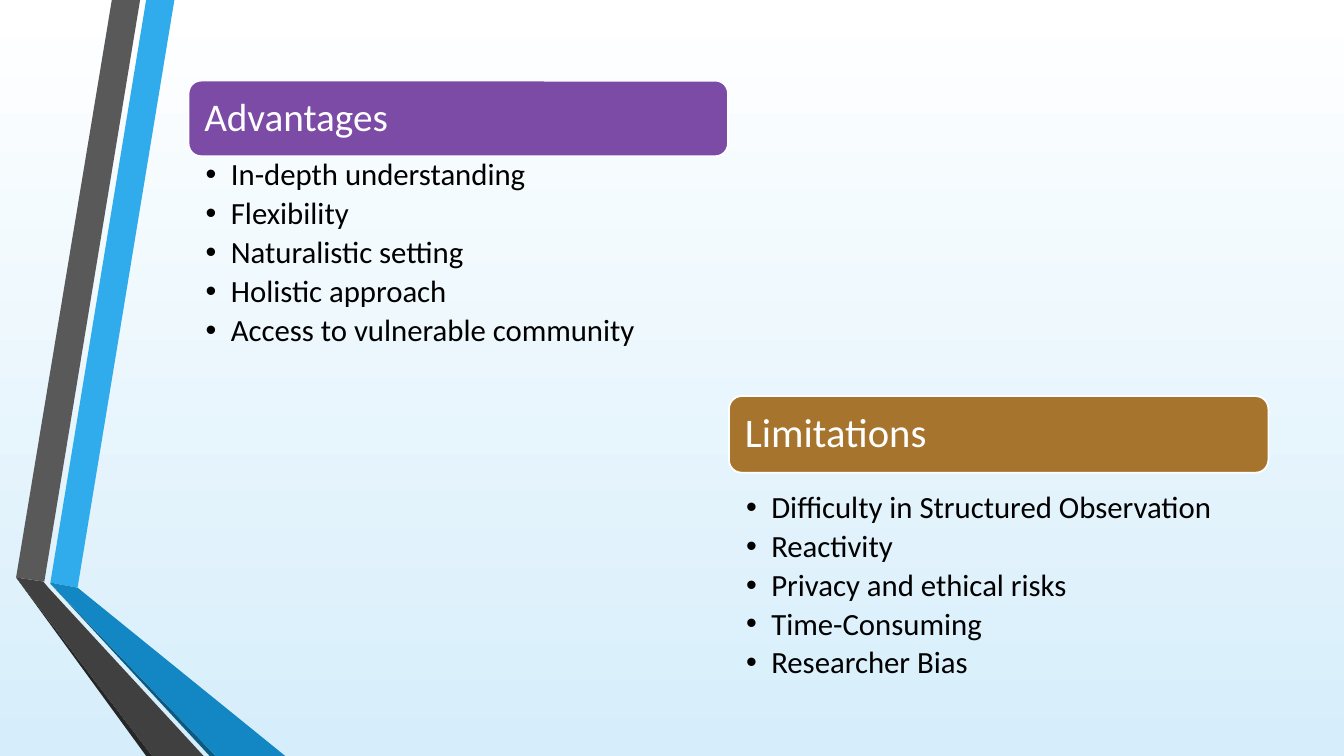
from lxml.etree import SubElement
from pptx import Presentation
from pptx.dml.color import RGBColor as RGB
from pptx.enum.shapes import MSO_SHAPE as SHAPE
from pptx.enum.text import MSO_ANCHOR as ANCHOR, PP_ALIGN as ALIGN
from pptx.oxml.ns import qn
from pptx.util import Inches, Pt

RIBBONS = [
    ("blue", [(0.5, 5.78), (0.77, 5.83), (1.73, 0), (1.45, 0)]),
    ("grey", [(1.39, 0), (1.11, 0), (0.16, 5.73), (0.44, 5.77)]),
    ("grey_edge", [(0.16, 5.73), (1.45, 7.5), (1.51, 7.5)]),
    ("blue_edge", [(0.5, 5.79), (2.08, 7.5), (2.14, 7.5)]),
    ("blue_fold", [(0.5, 5.79), (2.14, 7.5), (2.83, 7.5), (0.77, 5.83), (0.5, 5.78)]),
    ("grey_fold", [(2.02, 7.5), (0.48, 5.83), (0.43, 5.77), (0.16, 5.73), (1.51, 7.5)]),
]
PANELS = [
    {"title": "Advantages", "fill": "purple", "size": 28,
     "left": 1.87, "top": 0.8, "height": 0.75, "list_top": 1.54, "list_height": 2.39,
     "points": ["In-depth understanding", "Flexibility", "Naturalistic setting",
                "Holistic approach", "Access to vulnerable\u00a0community"]},
    {"title": "Limitations", "fill": "brown", "size": 29,
     "left": 7.23, "top": 3.93, "height": 0.76, "list_top": 4.84, "list_height": 2.06,
     "points": ["Difficulty in Structured Observation", "Reactivity",
                "Privacy and ethical risks", "Time-Consuming", "Researcher Bias"]},
]
PANEL_WIDTH = 5.35
THEME = {
    "font": "Calibri", "list_size": 22, "line": 1.25,
    "white": "FFFFFF", "sky": "D6EEFB", "black": "000000",
    "blue": "30ACEC", "blue_fold": "1287C3", "blue_edge": "0C5A82",
    "grey": "595959", "grey_fold": "404040", "grey_edge": "262626",
    "purple": "7B4BA6", "brown": "A7742E",
}


def color(name):
    """Return a theme colour."""
    return RGB.from_string(THEME[name])


def apply(target, **values):
    """Set each attribute of the target."""
    for name, value in values.items():
        setattr(target, name, value)


def paint(s, fill):
    """Give a shape a flat fill and no shadow."""
    s.shadow.inherit = False
    s.fill.solid()
    s.fill.fore_color.rgb = color(fill)


def add_text(p, text, size, ink):
    """Write one styled run into a paragraph."""
    apply(p, alignment=ALIGN.LEFT, line_spacing=0.9)
    r = p.add_run()
    r.text = text
    apply(r.font, name=THEME["font"], size=Pt(size))
    r.font.color.rgb = color(ink)


def add_bullet(p):
    """Give a paragraph a hanging round bullet."""
    pPr = p._p.get_or_add_pPr()
    pPr.set("marL", str(Inches(0.25)))
    pPr.set("indent", str(-Inches(0.25)))
    SubElement(pPr, qn("a:buFont")).set("typeface", "Arial")
    SubElement(pPr, qn("a:buChar")).set("char", "•")


def add_ribbon(slide, fill, points):
    """Draw one closed polygon of the side ribbon."""
    corners = [(Inches(x), Inches(y)) for x, y in points]
    builder = slide.shapes.build_freeform(*corners[0], scale=1.0)
    builder.add_line_segments(corners[1:], close=True)
    s = builder.convert_to_shape()
    paint(s, fill)
    s.line.fill.background()


def add_panel(slide, panel):
    """Draw a heading bar and its bullet list."""
    left, width = Inches(panel["left"]), Inches(PANEL_WIDTH)
    bar = slide.shapes.add_shape(SHAPE.ROUNDED_RECTANGLE, left, Inches(panel["top"]),
                                 width, Inches(panel["height"]))
    paint(bar, panel["fill"])
    bar.line.color.rgb = color("white")
    bar.line.width = Pt(THEME["line"])
    apply(bar.text_frame, word_wrap=True, vertical_anchor=ANCHOR.MIDDLE,
          margin_left=Inches(0.12), margin_right=Inches(0.12),
          margin_top=Inches(0.05), margin_bottom=Inches(0.05))
    add_text(bar.text_frame.paragraphs[0], panel["title"], panel["size"], "white")

    box = slide.shapes.add_textbox(left, Inches(panel["list_top"]),
                                   width, Inches(panel["list_height"]))
    tf = box.text_frame
    apply(tf, word_wrap=True, vertical_anchor=ANCHOR.TOP,
          margin_left=Inches(0.17), margin_right=Inches(0.17),
          margin_top=Inches(0.04), margin_bottom=Inches(0.04))
    for i, point in enumerate(panel["points"]):
        p = tf.add_paragraph() if i else tf.paragraphs[0]
        add_bullet(p)
        apply(p, level=1, space_after=Pt(4))
        add_text(p, point, THEME["list_size"], "black")


def main():
    """Build and save the slide."""
    prs = Presentation()
    apply(prs, slide_width=Inches(13.33), slide_height=Inches(7.5))
    slide = prs.slides.add_slide(prs.slide_layouts[6])
    fill = slide.background.fill
    fill.gradient()
    fill.gradient_angle = 270
    for stop, name in zip(fill.gradient_stops, ("white", "sky")):
        stop.color.rgb = color(name)
    for ribbon in RIBBONS:
        add_ribbon(slide, *ribbon)
    for panel in PANELS:
        add_panel(slide, panel)
    prs.save("out.pptx")


if __name__ == "__main__":
    main()
